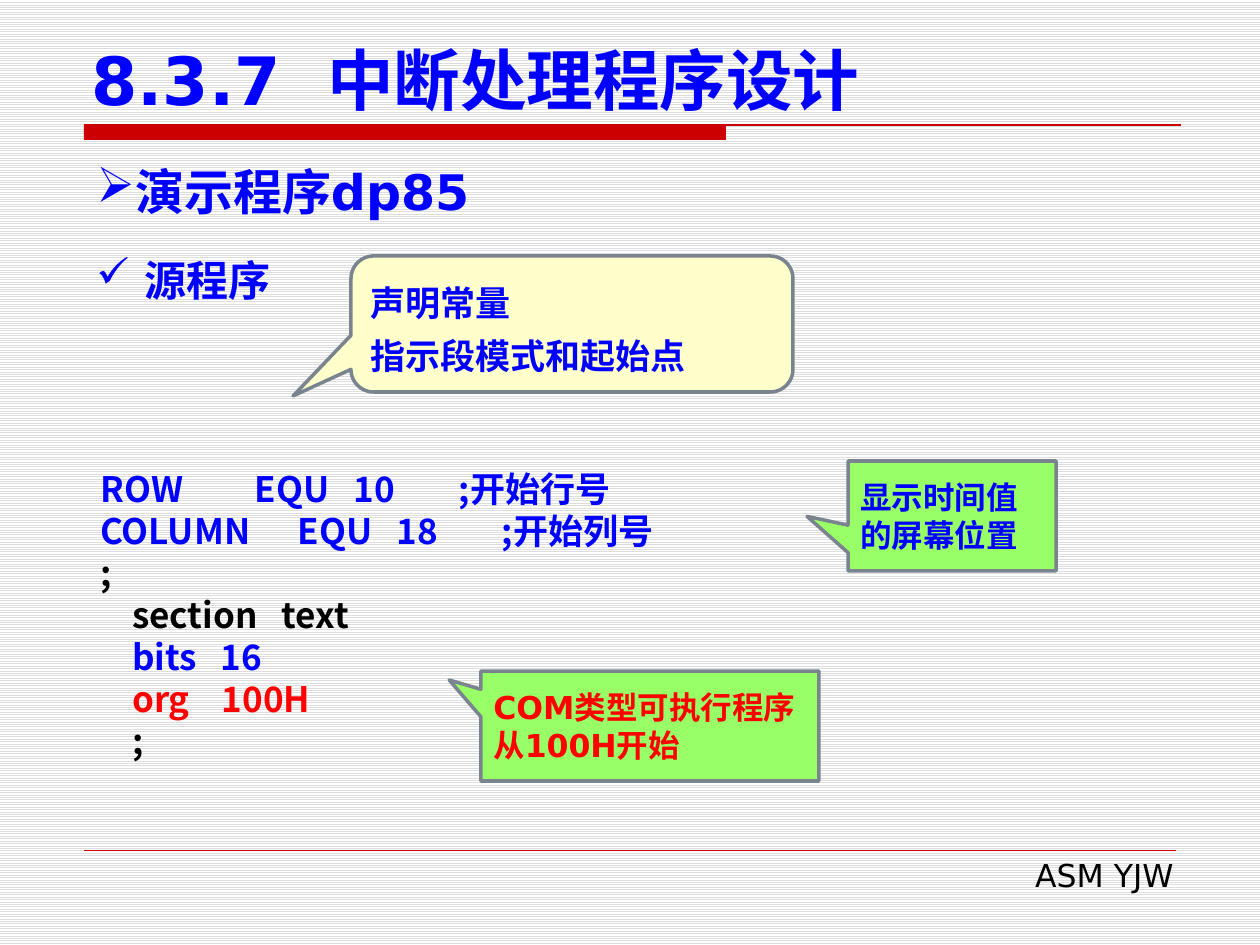
from lxml.etree import SubElement
from pptx import Presentation
from pptx.dml.color import RGBColor
from pptx.enum.dml import MSO_PATTERN
from pptx.enum.shapes import MSO_CONNECTOR, MSO_SHAPE
from pptx.enum.text import MSO_ANCHOR, PP_ALIGN
from pptx.oxml.ns import qn
from pptx.util import Pt

PIXEL = 914400 / 126
SANS = "DejaVu Sans"
CJK = "Noto Sans CJK SC"
BLUE, RED, BLACK = "0000FF", "FF0000", "000000"
RULE, GREEN, CREAM, OUTLINE = "CC0000", "99FF66", "FFFFCC", "79848F"


def px(*lengths):
    return [round(length * PIXEL) for length in lengths]


def color(value):
    return RGBColor.from_string(value)


def write(frame, lines, size, name, bold=True, align=PP_ALIGN.LEFT,
          leading=None, bullet=None, hanging=0):
    frame.word_wrap = True
    for index, (text, ink) in enumerate(lines):
        para = frame.paragraphs[0] if index == 0 else frame.add_paragraph()
        para.add_run().text = text
        para.alignment = align
        if leading:
            para.line_spacing = Pt(leading)
        if bullet:
            properties = para._p.get_or_add_pPr()
            indent, = px(hanging)
            properties.set("marL", str(indent))
            properties.set("indent", str(-indent))
            SubElement(properties, qn("a:buChar")).set("char", bullet)
        font = para.font
        font.name, font.size, font.bold = name, Pt(size), bold
        font.color.rgb = color(ink)


def add_text(page, box, lines, size, name, anchor=MSO_ANCHOR.TOP, **style):
    frame = page.shapes.add_textbox(*px(*box)).text_frame
    frame.vertical_anchor = anchor
    write(frame, lines, size, name, **style)


def add_rule(page, left, top, width, weight):
    rule = page.shapes.add_connector(
        MSO_CONNECTOR.STRAIGHT, *px(left, top, left + width, top))
    rule.line.color.rgb = color(RULE)
    rule.line.width = Pt(weight)
    SubElement(rule._element.spPr, qn("a:effectLst"))


def add_callout(page, box, kind, adjustments, fill, lines, size, name, **style):
    callout = page.shapes.add_shape(kind, *px(*box))
    callout.shadow.inherit = False
    for index, value in enumerate(adjustments):
        callout.adjustments[index] = value
    callout.fill.solid()
    callout.fill.fore_color.rgb = color(fill)
    callout.line.color.rgb = color(OUTLINE)
    callout.line.width = Pt(2)
    callout.text_frame.vertical_anchor = MSO_ANCHOR.MIDDLE
    write(callout.text_frame, lines, size, name, **style)


def add_background(page):
    fill = page.background.fill
    fill.patterned()
    fill.pattern = MSO_PATTERN.LIGHT_HORIZONTAL
    fill.fore_color.rgb = color("DDDDDD")
    fill.back_color.rgb = color("FFFFFF")


def add_header(page, left, top, width, height):
    bar = page.shapes.add_shape(
        MSO_SHAPE.RECTANGLE, *px(left, top + height, 642, 15))
    bar.shadow.inherit = False
    bar.fill.solid()
    bar.fill.fore_color.rgb = color(RULE)
    bar.line.fill.background()
    add_rule(page, left, top + height, width, 0.75)
    add_text(page, (left - 5, top, width + 5, height),
             [("8.3.7  中断处理程序设计", BLUE)], 38, SANS, MSO_ANCHOR.BOTTOM)


def add_footer(page, left, top, width, height):
    add_rule(page, left, top, width, 0.25)
    add_text(page, (left + 397, top, width - 387, height),
             [("ASM YJW", BLACK)], 18, SANS, bold=False, align=PP_ALIGN.RIGHT)


def add_outline(page, left, top, width):
    add_text(page, (left, top, width, 72), [("演示程序dp85", BLUE)],
             28, SANS, bullet="➢", align=PP_ALIGN.JUSTIFY)
    add_text(page, (left, top + 81, width, 68), [("源程序", BLUE)],
             24, CJK, bullet="✓", hanging=48, leading=36)


def add_code(page, left, top, width, height):
    lines = [
        ("ROW         EQU   10        ;开始行号", BLUE),
        ("COLUMN      EQU   18        ;开始列号", BLUE),
        (";", BLACK),
        ("    section   text", BLACK),
        ("    bits   16", BLUE),
        ("    org    100H", RED),
        ("    ;", BLACK),
    ]
    add_text(page, (left, top, width, height), lines, 20, CJK)


def add_notes(page, left, top):
    pointed = MSO_SHAPE.RECTANGULAR_CALLOUT
    add_callout(page, (left + 130, top + 415, 338, 110), pointed,
                (-0.594, -0.418), GREEN,
                [("COM类型可执行程序", RED), ("从100H开始", RED)], 18, SANS)
    add_callout(page, (left + 497, top + 205, 208, 110), pointed,
                (-0.697, 0.004), GREEN,
                [("显示时间值的屏幕位置", BLUE)], 18, SANS)
    add_callout(page, (left, top, 442, 136), MSO_SHAPE.ROUNDED_RECTANGULAR_CALLOUT,
                (-0.631, 0.529, 0.167), CREAM,
                [("声明常量", BLUE), ("指示段模式和起始点", BLUE)],
                20, CJK, leading=30)


def main():
    deck = Presentation()
    deck.slide_width, deck.slide_height = px(1260, 945)
    page = deck.slides.add_slide(deck.slide_layouts[6])
    add_background(page)
    add_header(page, 84, 42, 1097, 83)
    add_footer(page, 84, 850, 1092, 50)
    add_outline(page, 84, 155, 1091)
    add_code(page, 88, 461, 969, 310)
    add_notes(page, 351, 256)
    deck.save("out.pptx")


if __name__ == "__main__":
    main()
